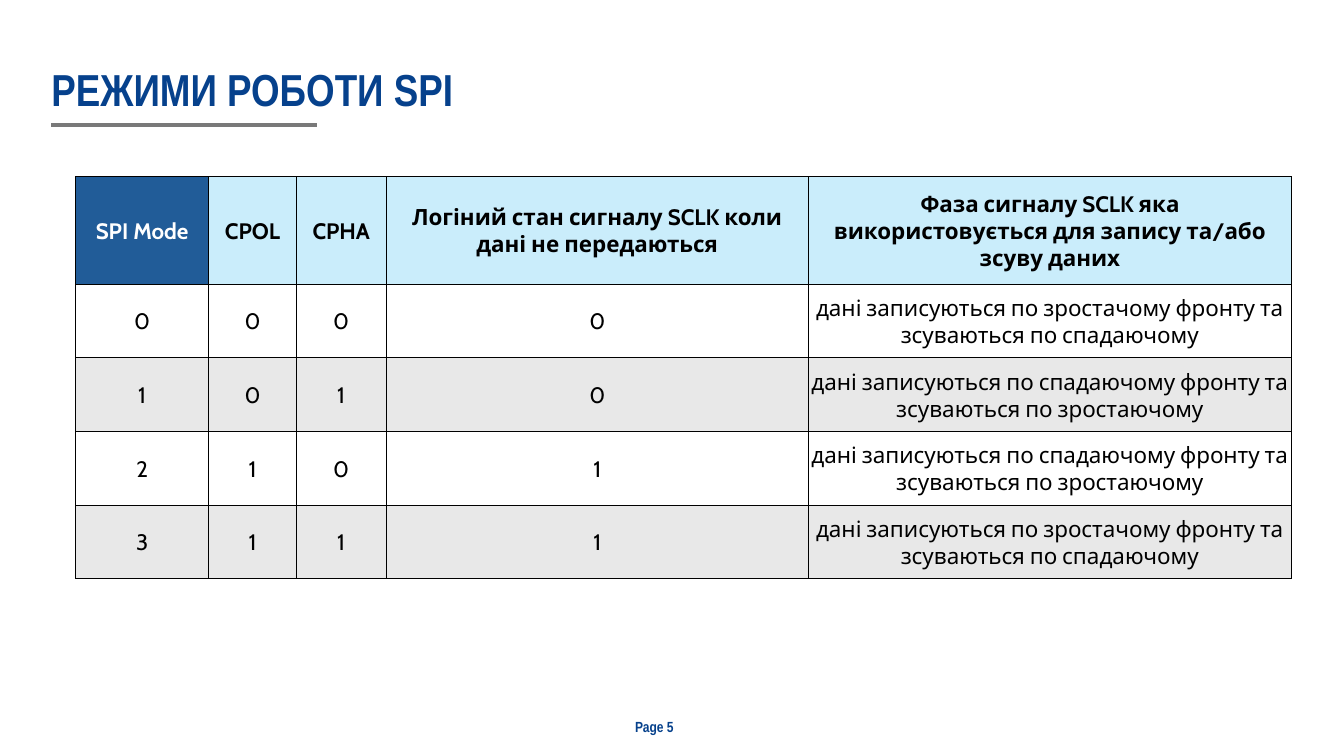
"""Build the slide that tabulates the four SPI modes."""
from dataclasses import dataclass

from lxml.etree import SubElement
from pptx import Presentation
from pptx.dml.color import RGBColor
from pptx.enum.text import MSO_ANCHOR, MSO_AUTO_SIZE, PP_ALIGN
from pptx.oxml.ns import qn
from pptx.util import Inches, Pt

NAVY, BLACK, WHITE = "06418C", "000000", "FFFFFF"
HEADING_FONT, TABLE_FONT = "Arial Narrow", "Cabin"
HEADER_HEIGHT, MODE_HEIGHT = 1.07, 0.73
RISING, FALLING = (
    "дані записуються по зростачому фронту та зсуваються по спадаючому",
    "дані записуються по спадаючому фронту та зсуваються по зростаючому",
)


@dataclass(frozen=True)
class Column:
    heading: str
    width: float
    fill: str = "CAEDFB"
    color: str = BLACK


COLUMNS = (
    Column("SPI Mode", 1.32, fill="215C98", color=WHITE),
    Column("CPOL", 0.87),
    Column("CPHA", 0.89),
    Column("Логіний стан сигналу SCLK коли дані не передаються", 4.19),
    Column("Фаза сигналу SCLK яка використовується для запису та/або зсуву даних", 4.79),
)


def rgb(value: str) -> RGBColor:
    return RGBColor.from_string(value)


def write(frame, text: str, *, size: float, font: str, color: str,
          bold: bool = False, align=PP_ALIGN.LEFT, spacing: float = 1.0) -> None:
    para = frame.paragraphs[0]
    para.alignment = align
    para.line_spacing = spacing
    span = para.add_run()
    span.text = text
    span.font.size = Pt(size)
    span.font.name = font
    span.font.bold = bold
    span.font.color.rgb = rgb(color)


def add_title(page) -> None:
    title = page.shapes.title
    title.left, title.top = Inches(0.51), Inches(0.65)
    title.width, title.height = Inches(12.3), Inches(0.5)
    frame = title.text_frame
    frame.margin_left = frame.margin_right = frame.margin_top = frame.margin_bottom = 0
    frame.vertical_anchor = MSO_ANCHOR.BOTTOM
    frame.auto_size = MSO_AUTO_SIZE.NONE
    frame.word_wrap = True
    write(frame, "РЕЖИМИ РОБОТИ SPI", size=32, font=HEADING_FONT,
          color=NAVY, bold=True, spacing=0.9)


def add_underline(page) -> None:
    line = page.shapes.add_connector(1, Inches(0.51), Inches(1.24), Inches(3.14), Inches(1.24))
    line.line.color.rgb = rgb("797979")
    line.line.width = Pt(3)
    SubElement(line._element.spPr, qn("a:effectLst"))


def add_page_number(page) -> None:
    box = page.shapes.add_textbox(Inches(6.2), Inches(7.07), Inches(0.67), Inches(0.28))
    box.text_frame.word_wrap = False
    box.text_frame.auto_size = MSO_AUTO_SIZE.SHAPE_TO_FIT_TEXT
    write(box.text_frame, "Page 5", size=10.5, font=HEADING_FONT, color=NAVY, bold=True)


def add_borders(cell) -> None:
    properties = cell._tc.get_or_add_tcPr()
    for side in ("a:lnL", "a:lnR", "a:lnT", "a:lnB"):
        border = SubElement(properties, qn(side), w=str(Pt(0.5)))
        fill = SubElement(border, qn("a:solidFill"))
        SubElement(fill, qn("a:srgbClr"), val=BLACK)


def fill_cell(cell, text: str, *, fill: str, color: str = BLACK, bold: bool = False) -> None:
    add_borders(cell)
    cell.fill.solid()
    cell.fill.fore_color.rgb = rgb(fill)
    cell.margin_left = cell.margin_right = cell.margin_top = Inches(0.02)
    cell.margin_bottom = 0
    cell.vertical_anchor = MSO_ANCHOR.MIDDLE
    write(cell.text_frame, text, size=16, font=TABLE_FONT, color=color,
          bold=bold, align=PP_ALIGN.CENTER)


def mode_values(mode: int) -> tuple[str, ...]:
    polarity, phase = divmod(mode, 2)
    edges = RISING if polarity == phase else FALLING
    return str(mode), str(polarity), str(phase), str(polarity), edges


def add_mode_table(page) -> None:
    width = sum(column.width for column in COLUMNS)
    height = HEADER_HEIGHT + 4 * MODE_HEIGHT
    table = page.shapes.add_table(5, len(COLUMNS), Inches(0.75), Inches(1.75),
                                  Inches(width), Inches(height)).table
    table.first_row = table.horz_banding = False
    table.rows[0].height = Inches(HEADER_HEIGHT)
    for index, column in enumerate(COLUMNS):
        table.columns[index].width = Inches(column.width)
        fill_cell(table.cell(0, index), column.heading, fill=column.fill,
                  color=column.color, bold=True)
    for mode in range(4):
        table.rows[mode + 1].height = Inches(MODE_HEIGHT)
        for index, value in enumerate(mode_values(mode)):
            fill_cell(table.cell(mode + 1, index), value,
                      fill="E8E8E8" if mode % 2 else WHITE)


def main() -> None:
    deck = Presentation()
    deck.slide_width, deck.slide_height = Inches(13.33), Inches(7.5)
    page = deck.slides.add_slide(deck.slide_layouts[5])
    add_underline(page)
    add_page_number(page)
    add_title(page)
    add_mode_table(page)
    deck.save("out.pptx")


if __name__ == "__main__":
    main()
